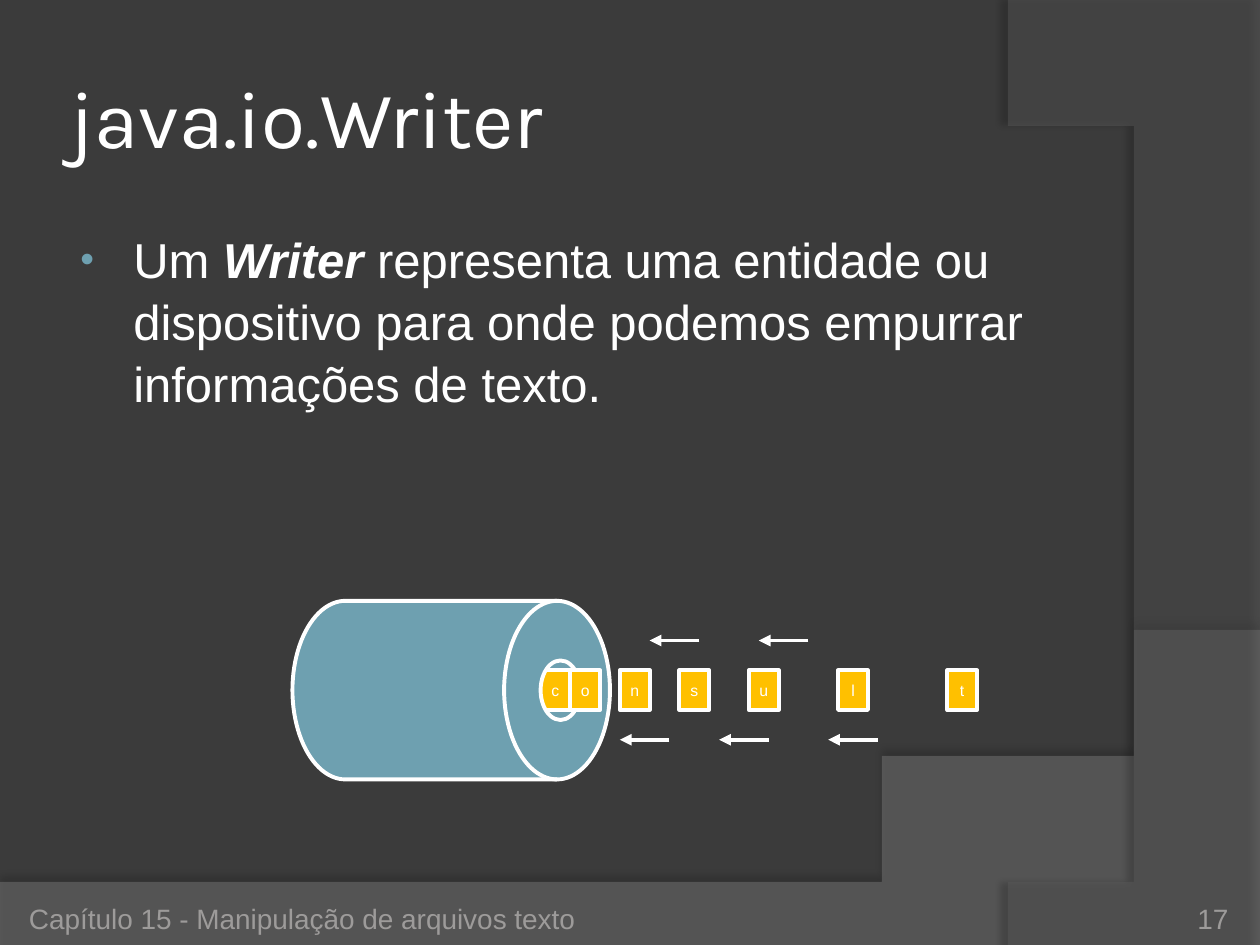
from lxml import etree
from pptx import Presentation, util as u
from pptx.dml.color import RGBColor
from pptx.enum import shapes, text
from pptx.oxml.ns import qn

WHITE = RGBColor(0xFF, 0xFF, 0xFF)
DARK = RGBColor(0x3B, 0x3B, 0x3B)
BLUE = RGBColor(0x6E, 0xA0, 0xB0)
GOLD = RGBColor(0xFF, 0xC0, 0x00)
GREY = RGBColor(0x9D, 0x9B, 0x9A)
MID = RGBColor(0x7F, 0x7F, 0x7F)
DIM = RGBColor(0x5E, 0x5E, 0x5E)

TITLE = "java.io.Writer"
BODY = [("Um ", False), ("Writer", True),
        (" representa uma entidade ou dispositivo para onde podemos "
         "empurrar informações de texto.", False)]
FOOT = "Capítulo 15 - Manipulação de arquivos texto"
PAGE = "17"

# The drawing sits on a 2 mm grid whose origin is the corner of the first tile
UNIT, LEFT, TOP = u.Mm(2), u.Inches(4.29), u.Inches(5.32)
TILES = [("c", 0), ("o", 3), ("n", 8), ("s", 14), ("u", 21), ("l", 30), ("t", 41)]
ARROWS = {-3: (11, 22), 7: (8, 18, 29)}  # row: columns of the tips

# Waves: start, then points; a triple of points is a Bezier curve (inches)
LOW = [(0, 7.05), (0, 7.51), (10, 7.51), (10, 5.2),
       ((5.59, 7.29), (3.91, 7.19), (0, 7.05))]
SIDE = [(10, 0.02), (10, 7.5), (8.21, 7.5),
        ((9.35, 6.19), (10.18, 3), (8, 0))]
STEPS = 60

prs = Presentation()
prs.slide_width, prs.slide_height = u.Inches(10), u.Inches(7.5)
slide = prs.slides.add_slide(prs.slide_layouts[6])
slide.background.fill.solid()
slide.background.fill.fore_color.rgb = DARK
items = slide.shapes


def sub(node, tag, **attrs):
    return etree.SubElement(node, qn(tag), attrs)


def paint(shape, fill=None, line=None):
    shape.shadow.inherit = False
    if fill is None:
        shape.fill.background()
    else:
        shape.fill.solid()
        shape.fill.fore_color.rgb = fill
    if line is None:
        shape.line.fill.background()
    else:
        shape.line.color.rgb = line
        shape.line.width = u.Pt(2.25)


def flat(points):
    """Turn the curves of an outline into short straight steps."""
    out = []
    for pt in points:
        if len(pt) == 2:
            out.append(pt)
            continue
        a, (b, c, d) = out[-1], pt
        for i in range(1, STEPS + 1):
            t = i / STEPS
            s = 1 - t
            out.append(tuple(s**3 * p + 3 * s * s * t * q + 3 * s * t * t * r + t**3 * e
                             for p, q, r, e in zip(a, b, c, d)))
    return out


def wave(points, fill, alpha, shade, dist, turn):
    first, *rest = flat(points)
    pen = items.build_freeform(*first, scale=u.Inches(1))
    pen.add_line_segments(rest, close=True)
    shape = pen.convert_to_shape()
    paint(shape, fill)
    props = shape.element.spPr
    tint = props.find(qn("a:solidFill"))[0]
    sub(tint, "a:alpha", val=str(alpha * 1000))
    glow = sub(props.find(qn("a:effectLst")), "a:outerShdw", blurRad=str(u.Pt(4)),
               dist=str(u.Pt(dist)), dir=str(turn * 60000), rotWithShape="0")
    sub(sub(glow, "a:srgbClr", val="000000"), "a:alpha", val=str(shade * 1000))


def write(par, words, size, color=WHITE, font="Arial", strong=False):
    run = par.add_run()
    run.text = words
    run.font.size, run.font.name = u.Pt(size), font
    run.font.color.rgb = color
    run.font.bold = run.font.italic = strong


def box(x, y, w, h, anchor, inset):
    frame = items.add_textbox(*map(u.Inches, (x, y, w, h))).text_frame
    frame.word_wrap = True
    frame.vertical_anchor = anchor
    frame.margin_left = frame.margin_right = u.Inches(inset)
    frame.margin_top = frame.margin_bottom = u.Inches(min(inset, 0.05))
    return frame.paragraphs[0]


def spot(col, row):
    return LEFT + round(col * UNIT), TOP + round(row * UNIT)


def place(kind, col, row, cols, rows, fill=None, line=None, turn=0):
    shape = items.add_shape(kind, *spot(col, row), cols * UNIT, rows * UNIT)
    paint(shape, fill, line)
    shape.rotation = turn
    return shape


wave(LOW, MID, 45, 35, 3.5, 270)
wave(SIDE, DIM, 40, 45, 4, 180)

write(box(0.5, 0.3, 8.17, 1.25, text.MSO_ANCHOR.MIDDLE, 0.05), TITLE, 46, font="Karla")

par = box(0.5, 1.75, 8.99, 2, text.MSO_ANCHOR.TOP, 0.1)
par.line_spacing = 1.05
props = par._p.get_or_add_pPr()
props.set("marL", str(u.Inches(0.46)))
props.set("indent", str(u.Inches(-0.42)))
sub(sub(props, "a:buClr"), "a:srgbClr", val=str(BLUE))
sub(props, "a:buSzPct", val="80000")
sub(props, "a:buFont", typeface="Arial")
sub(props, "a:buChar", char="•")
for words, strong in BODY:
    write(par, words, 28, strong=strong)

KIND = shapes.MSO_SHAPE
place(KIND.FLOWCHART_DIRECT_ACCESS_STORAGE, -25, -7, 32, 18, BLUE, WHITE)
for letter, col in TILES:
    tile = place(KIND.RECTANGLE, col, 0, 3, 4, GOLD, WHITE)
    frame = tile.text_frame
    frame.margin_left = frame.margin_right = 0
    frame.vertical_anchor = text.MSO_ANCHOR.MIDDLE
    frame.paragraphs[0].alignment = text.PP_ALIGN.CENTER
    write(frame.paragraphs[0], letter, 9)
place(KIND.BLOCK_ARC, -3, -2, 10, 8, BLUE, turn=270)
rim = place(KIND.ARC, 0, -1, 4, 6, line=WHITE, turn=180)
rim.adjustments[0], rim.adjustments[1] = 141.42, 75.39

for row, cols in ARROWS.items():
    for col in cols:
        arrow = items.add_connector(shapes.MSO_CONNECTOR.STRAIGHT,
                                    *spot(col + 5, row), *spot(col, row))
        arrow.line.color.rgb = WHITE
        arrow.line.width = u.Pt(2.25)
        sub(arrow.line._get_or_add_ln(), "a:tailEnd", type="triangle")
        sub(arrow._element.spPr, "a:effectLst")

write(box(0.23, 7.02, 4.84, 0.4, text.MSO_ANCHOR.BOTTOM, 0), FOOT, 16, GREY)
par = box(8.92, 7.02, 0.83, 0.4, text.MSO_ANCHOR.BOTTOM, 0)
par.alignment = text.PP_ALIGN.RIGHT
write(par, PAGE, 16, GREY)

prs.save("out.pptx")
